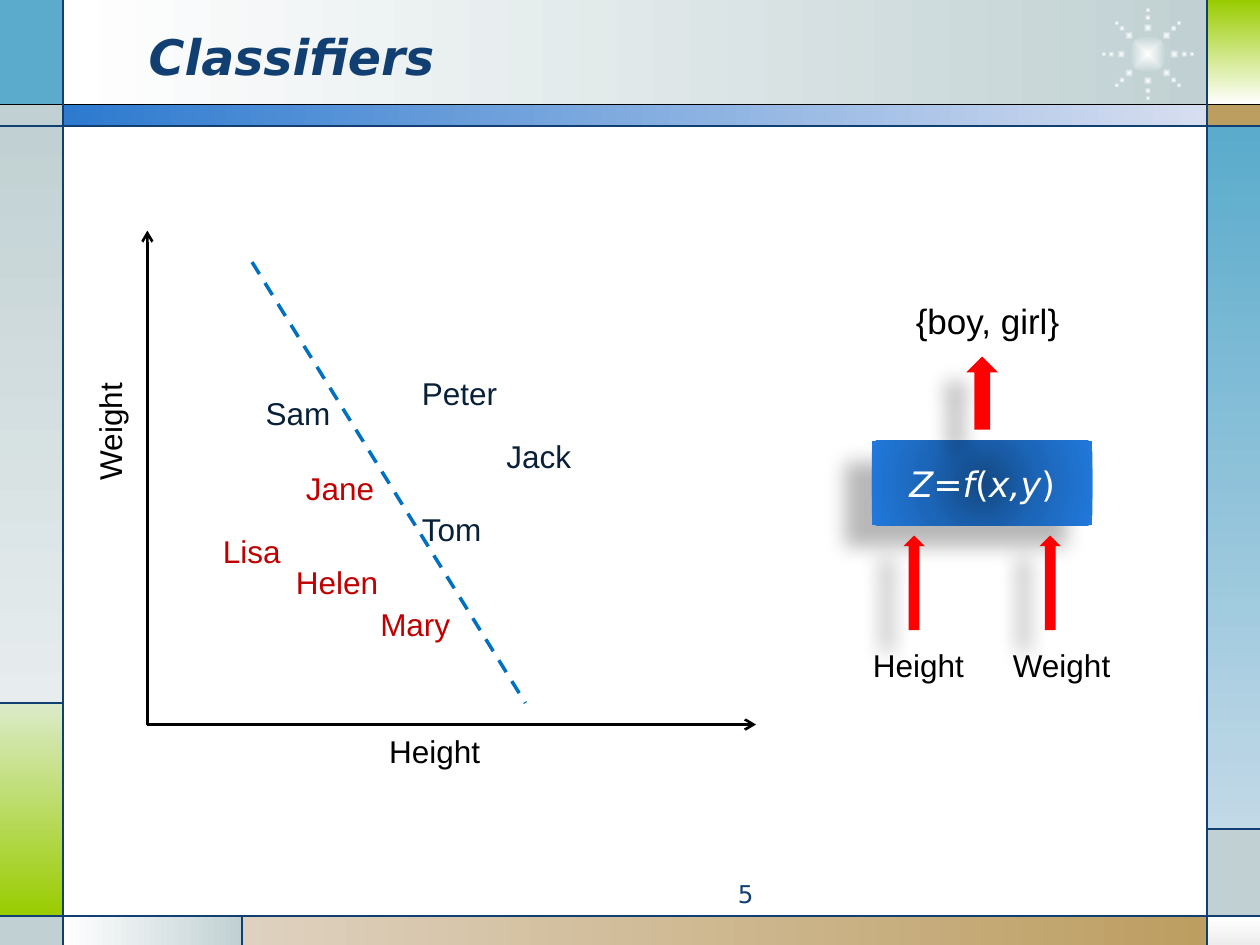
import math

import lxml.etree
import pptx
import pptx.dml.color
import pptx.enum.dml
import pptx.enum.shapes
import pptx.enum.text
import pptx.oxml
import pptx.oxml.ns
import pptx.util

RGB = pptx.dml.color.RGBColor
Inches, Pt, qn = pptx.util.Inches, pptx.util.Pt, pptx.oxml.ns.qn
SHAPE = pptx.enum.shapes.MSO_SHAPE
ALIGN = pptx.enum.text.PP_ALIGN
ANCHOR = pptx.enum.text.MSO_ANCHOR
AUTO = pptx.enum.text.MSO_AUTO_SIZE

WHITE, BLACK, RED = RGB(255, 255, 255), RGB(0, 0, 0), RGB(255, 0, 0)
NAVY, BOY, GIRL = RGB(0x11, 0x3F, 0x71), RGB(0x08, 0x20, 0x38), RGB(0xC0, 0, 0)
SKY, PALE_SKY = RGB(0x5A, 0xAB, 0xCC), RGB(0xC2, 0xD9, 0xE7)
MIST, PALE_MIST = RGB(0xC1, 0xD1, 0xD3), RGB(0xE7, 0xED, 0xEE)
LIME, PALE_LIME = RGB(0x99, 0xCC, 0), RGB(0xDB, 0xEB, 0xC9)
TAN, PALE_TAN = RGB(0xBD, 0x9E, 0x61), RGB(0xDE, 0xD1, 0xBF)
BLUE, PALE_BLUE = RGB(0x2D, 0x7A, 0xCF), RGB(0xD7, 0xDE, 0xF0)
SMOKE, DASH_BLUE = RGB(0xED, 0xED, 0xED), RGB(0, 0x70, 0xC0)
BOX_BLUES = [RGB(0x13, 0x48, 0x82), RGB(0x1C, 0x66, 0xB9), RGB(0x21, 0x79, 0xDB)]

COLS = [0, 0.5, 1.92, 9.58, 10]
ROWS = [0, 0.83, 1, 5.58, 6.58, 7.27, 7.5]
RIGHT, DOWN = 0, 90

PANELS = [
    (1, 0, 3, 1, [WHITE, MIST], RIGHT),
    (0, 0, 1, 1, [SKY], RIGHT),
    (0, 1, 1, 2, [MIST], RIGHT),
    (0, 2, 1, 3, [MIST, PALE_MIST], DOWN),
    (0, 3, 1, 5, [PALE_LIME, LIME], DOWN),
    (0, 5, 1, 6, [MIST], RIGHT),
    (1, 5, 2, 6, [WHITE, MIST], RIGHT),
    (2, 5, 3, 6, [PALE_TAN, TAN], RIGHT),
    (3, 5, 4, 6, [WHITE, SMOKE], DOWN),
    (3, 4, 4, 5, [MIST], RIGHT),
    (3, 2, 4, 4, [SKY, PALE_SKY], DOWN),
    (3, 1, 4, 2, [TAN], RIGHT),
    (3, 0, 4, 1, [LIME, WHITE], DOWN),
    (1, 1, 3, 2, [BLUE, PALE_BLUE], RIGHT),
]
RULES = [
    (0, 1, 4, 1, BLACK), (0, 2, 4, 2, NAVY), (0, 5, 4, 5, NAVY),
    (1, 0, 1, 6, NAVY), (3, 0, 3, 6, NAVY), (0, 3, 1, 3, NAVY),
    (2, 5, 2, 6, NAVY), (3, 4, 4, 4, NAVY),
]
SUN_CENTER, SUN_SIZE, SUN_RAYS = (9.11, 0.43), 0.3, 8
SUN_DOTS = [(0.21, 0.07), (0.29, 0.05), (0.35, 0.04)]

ORIGIN = (1.17, 5.75)
AXIS_ENDS = [(6, 5.75), (1.17, 1.83)]
BOUNDARY = (2, 2.08, 4.17, 5.58)
LABELS = [
    ("Height", 2.99, 5.76, 0.93, 18, BLACK),
    ("Mary", 2.92, 4.75, 0.76, 18, GIRL),
    ("Lisa", 1.67, 4.17, 0.66, 18, GIRL),
    ("Jane", 2.33, 3.67, 0.75, 18, GIRL),
    ("Jack", 3.92, 3.42, 0.72, 18, BOY),
    ("Peter", 3.25, 2.92, 0.81, 18, BOY),
    ("Tom", 3.25, 4, 0.68, 18, BOY),
    ("Sam", 2.01, 3.08, 0.72, 18, BOY),
    ("Helen", 2.25, 4.42, 0.86, 18, GIRL),
    ("{boy, girl}", 7.17, 2.33, 1.35, 20, BLACK),
    ("Height", 6.83, 5.08, 0.93, 18, BLACK),
    ("Weight", 7.94, 5.08, 0.98, 18, BLACK),
]
FUNCTION_SPANS = [("Z=f", True), ("(", False), ("x,y", True), (")", False)]
ARROWS = [(7.67, 2.83, 0.25, 0.58), (7.17, 4.25, 0.17, 0.75), (8.25, 4.25, 0.17, 0.75)]


def apply(target, values):
    for name, value in values.items():
        setattr(target, name, value)


def style(font, size, color, name="Arial", **extra):
    apply(font, dict(size=Pt(size), name=name, **extra))
    font.color.rgb = color


def child(parent, tag, **attributes):
    return lxml.etree.SubElement(parent, qn(tag), attributes)


def paint(shape, colors, angle=None, path=None):
    if len(colors) == 1:
        shape.fill.solid()
        shape.fill.fore_color.rgb = colors[0]
        return
    gradient = pptx.oxml.parse_xml(f"<a:gradFill {pptx.oxml.ns.nsdecls('a')}/>")
    stops = child(gradient, "a:gsLst")
    for index, color in enumerate(colors):
        stop = child(stops, "a:gs", pos=str(index * 100000 // (len(colors) - 1)))
        child(stop, "a:srgbClr", val=str(color))
    if path:
        route = child(gradient, "a:path", path=path)
        child(route, "a:fillToRect", l="50000", t="50000", r="50000", b="50000")
    else:
        child(gradient, "a:lin", ang=str(angle * 60000), scaled="0")
    shape.element.spPr.insert(2, gradient)


def add_block(page, kind, place, colors, angle=None, path=None, shadowed=False):
    shape = page.shapes.add_shape(kind, *map(Inches, place))
    shape.shadow.inherit = False
    shape.line.fill.background()
    paint(shape, colors, angle, path)
    if shadowed:
        effects = shape.element.spPr.find(qn("a:effectLst"))
        shadow = child(effects, "a:outerShdw", blurRad=str(Pt(11.8)), dist=str(Pt(19.7)),
                       dir=str(141 * 60000), algn="ctr", rotWithShape="0")
        child(child(shadow, "a:srgbClr", val=str(BLACK)), "a:alpha", val="28000")
    return shape


def add_line(page, ends, color, width, dash=None, arrow=False):
    line = page.shapes.add_connector(
        pptx.enum.shapes.MSO_CONNECTOR.STRAIGHT, *map(Inches, ends))
    line.line.color.rgb = color
    apply(line.line, {"width": Pt(width), "dash_style": dash})
    properties = line.element.spPr
    if arrow:
        child(properties.find(qn("a:ln")), "a:tailEnd", type="arrow")
    child(properties, "a:effectLst")


def add_label(page, text, place, size, color, name="Arial", align=None):
    box = page.shapes.add_textbox(*map(Inches, place))
    apply(box.text_frame, {"word_wrap": False, "auto_size": AUTO.SHAPE_TO_FIT_TEXT})
    para = box.text_frame.paragraphs[0]
    para.alignment = align
    span = para.add_run()
    span.text = text
    style(span.font, size, color, name)
    return box


def add_frame(page):
    for left, top, right, bottom, colors, angle in PANELS:
        place = (COLS[left], ROWS[top], COLS[right] - COLS[left], ROWS[bottom] - ROWS[top])
        add_block(page, SHAPE.RECTANGLE, place, colors, angle)
    dots = [(*SUN_CENTER, SUN_SIZE)]
    for ray in range(SUN_RAYS):
        turn = math.tau * ray / SUN_RAYS
        dots += [(SUN_CENTER[0] + reach * math.cos(turn),
                  SUN_CENTER[1] + reach * math.sin(turn), size) for reach, size in SUN_DOTS]
    for x, y, size in dots:
        add_block(page, SHAPE.OVAL, (x - size / 2, y - size / 2, size, size),
                  [WHITE, MIST], path="shape")
    for left, top, right, bottom, color in RULES:
        add_line(page, (COLS[left], ROWS[top], COLS[right], ROWS[bottom]), color, 0.75)


def add_title(page):
    title = page.shapes.title
    page.shapes.element.append(title.element)
    places = zip(("left", "top", "width", "height"), map(Inches, (1.08, 0.13, 7.33, 0.62)))
    apply(title, dict(places))
    title.text_frame.text = "Classifiers"
    title.text_frame.vertical_anchor = ANCHOR.MIDDLE
    para = title.text_frame.paragraphs[0]
    para.alignment = ALIGN.LEFT
    style(para.runs[0].font, 28, NAVY, "DejaVu Sans", bold=True, italic=True)


def add_plot(page):
    for end in AXIS_ENDS:
        add_line(page, ORIGIN + end, BLACK, 1.5, arrow=True)
    side = add_label(page, "Weight", (0.67, 3.03, 0.5, 0.88), 18, BLACK)
    side.rotation = 180
    side.text_frame._txBody.bodyPr.set("vert", "eaVert")
    for text, left, top, width, size, color in LABELS:
        add_label(page, text, (left, top, width, size / 45), size, color)
    add_line(page, BOUNDARY, DASH_BLUE, 2, pptx.enum.dml.MSO_LINE.DASH)


def add_function(page):
    box = add_block(page, SHAPE.RECTANGLE, (6.92, 3.5, 1.75, 0.67), BOX_BLUES,
                    path="circle", shadowed=True)
    box.text_frame.vertical_anchor = ANCHOR.MIDDLE
    para = box.text_frame.paragraphs[0]
    para.alignment = ALIGN.CENTER
    for text, italic in FUNCTION_SPANS:
        span = para.add_run()
        span.text = text
        style(span.font, 20, WHITE, "DejaVu Sans", italic=italic)
    for place in ARROWS:
        add_block(page, SHAPE.UP_ARROW, place, [RED], shadowed=True)


def main():
    deck = pptx.Presentation()
    apply(deck, {"slide_width": Inches(10), "slide_height": Inches(7.5)})
    page = deck.slides.add_slide(deck.slide_layouts[5])
    add_frame(page)
    add_title(page)
    number = add_label(page, "5", (3.75, 6.93, 2.33, 0.27), 14, NAVY, "DejaVu Sans", ALIGN.RIGHT)
    apply(number.text_frame, {"word_wrap": True, "auto_size": AUTO.NONE})
    add_plot(page)
    add_function(page)
    deck.save("out.pptx")


if __name__ == "__main__":
    main()
